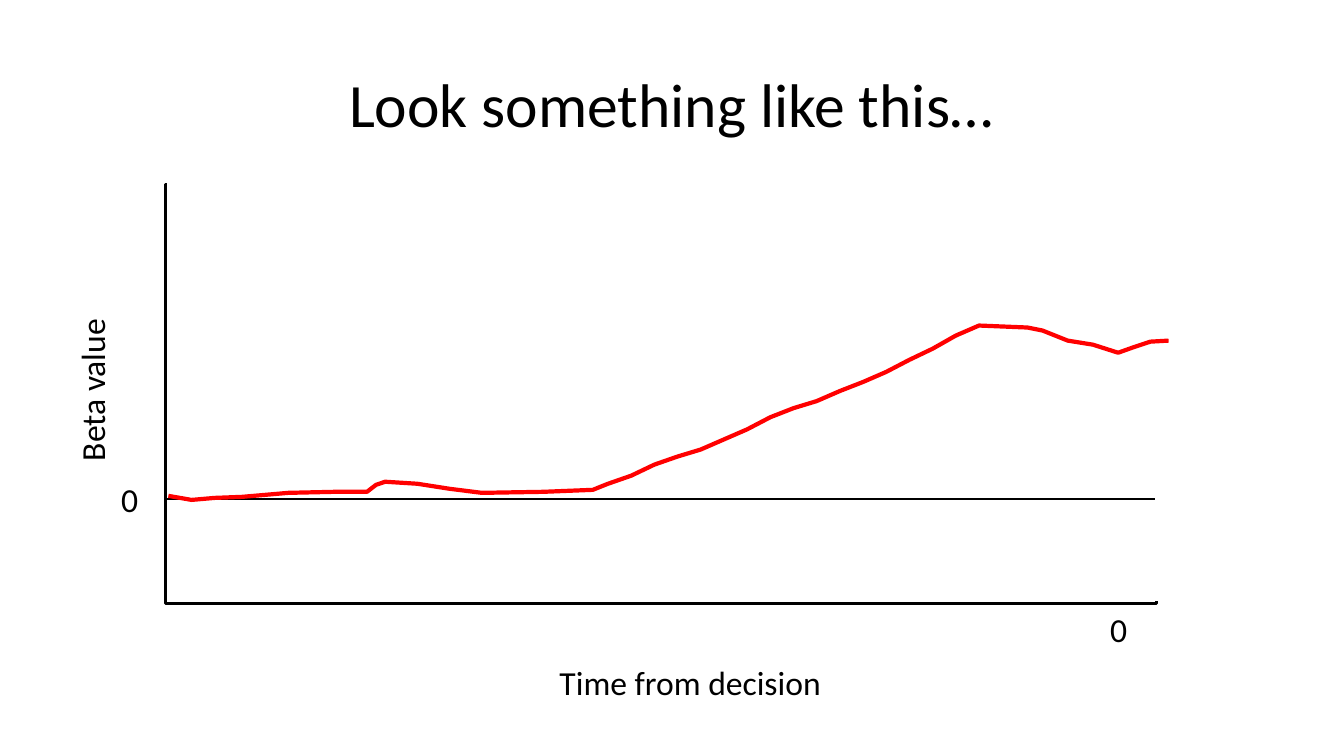
from dataclasses import dataclass
from lxml.etree import SubElement
from pptx import Presentation
from pptx.dml.color import RGBColor
from pptx.enum.shapes import MSO_CONNECTOR, MSO_SHAPE
from pptx.enum.text import MSO_ANCHOR, MSO_AUTO_SIZE, PP_ALIGN
from pptx.oxml.ns import qn
from pptx.slide import Slide
from pptx.util import Inches, Pt

INK = {"black": "000000", "white": "FFFFFF", "red": "FF0000"}
FONT = "Calibri"

# Plot size and zero line, in inches
PLOT_W, PLOT_H = 9.83, 4.16
ZERO_LEFT, ZERO_RIGHT, ZERO_Y = 1.65, 11.46, 4.95

# Line widths, in points
AXIS_PT, ZERO_PT, CURVE_PT = 2.25, 1, 3


@dataclass
class Label:
    text: str
    left: float
    top: float
    width: float
    height: float = 0.5
    size: int = 24
    turn: int = 0
    title: bool = False


@dataclass
class Panel:
    left: float
    top: float
    line: str
    fill: str = ""


@dataclass
class Stage:
    """A part of the curve: heights above zero, read at equal steps."""
    name: str
    start: float
    step: float
    highs: list[float]

    def dots(self) -> list[tuple[int, int]]:
        return [
            (Inches(self.start + i * self.step), Inches(ZERO_Y - high))
            for i, high in enumerate(self.highs)
        ]


TITLE = Label("Look something like this…", 0.91, 0.34, 11.5, 1.45, 44, title=True)
LABELS = [
    Label("Time from decision", 4.19, 6.52, 5.31),
    Label("Beta value", -0.41, 3.62, 2.64, turn=270),
    Label("0", 0.91, 4.7, 0.75),
    Label("0", 10.72, 5.99, 0.75),
]

# The white panel hides the top and right of the black one, leaving two axes
FRAME = Panel(1.64, 1.83, "black")
MASK = Panel(1.67, 1.79, "white", "white")

STAGES = [
    Stage("dip", 1.67, 0.23, [0.03, -0.01, 0.01]),
    Stage("rest", 2.4, 0.46, [0.02, 0.06, 0.07]),
    Stage("bump", 3.64, 0.09, [0.07, 0.14, 0.17]),
    Stage("fade", 4.14, 0.32, [0.15, 0.1, 0.06]),
    Stage("flat", 5.39, 0.49, [0.07, 0.09]),
    Stage("climb", 6.03, 0.23, [
        0.15, 0.23, 0.34, 0.42, 0.49, 0.59, 0.69, 0.81, 0.9,
        0.97, 1.07, 1.16, 1.26, 1.38, 1.49, 1.62, 1.72,
    ]),
    Stage("peak", 9.95, 0.24, [1.71, 1.7]),
    Stage("fall", 10.34, 0.25, [1.67, 1.57, 1.53, 1.45]),
    Stage("end", 11.23, 0.18, [1.5, 1.56, 1.57]),
]


def tint(name: str) -> RGBColor:
    return RGBColor.from_string(INK[name])


def add_label(slide: Slide, item: Label) -> None:
    box = slide.shapes.add_textbox(
        Inches(item.left), Inches(item.top), Inches(item.width), Inches(item.height)
    )
    box.rotation = item.turn
    frame = box.text_frame
    frame.word_wrap = True
    para = frame.paragraphs[0]
    para.alignment = PP_ALIGN.CENTER
    if item.title:
        frame.vertical_anchor = MSO_ANCHOR.MIDDLE
        para.line_spacing = 0.9
    else:
        frame.auto_size = MSO_AUTO_SIZE.SHAPE_TO_FIT_TEXT
    run = para.add_run()
    run.text = item.text
    run.font.name = FONT
    run.font.size = Pt(item.size)
    run.font.color.rgb = tint("black")


def add_panel(slide: Slide, item: Panel) -> None:
    box = slide.shapes.add_shape(
        MSO_SHAPE.RECTANGLE,
        Inches(item.left), Inches(item.top), Inches(PLOT_W), Inches(PLOT_H),
    )
    box.shadow.inherit = False
    if item.fill:
        box.fill.solid()
        box.fill.fore_color.rgb = tint(item.fill)
    else:
        box.fill.background()
    box.line.color.rgb = tint(item.line)
    box.line.width = Pt(AXIS_PT)


def add_zero(slide: Slide) -> None:
    line = slide.shapes.add_connector(
        MSO_CONNECTOR.STRAIGHT,
        Inches(ZERO_LEFT), Inches(ZERO_Y), Inches(ZERO_RIGHT), Inches(ZERO_Y),
    )
    line.line.color.rgb = tint("black")
    line.line.width = Pt(ZERO_PT)
    SubElement(line._element.spPr, qn("a:effectLst"))


def add_curve(slide: Slide, stages: list[Stage]) -> None:
    first, *rest = [dot for stage in stages for dot in stage.dots()]
    pen = slide.shapes.build_freeform(*first)
    pen.add_line_segments(rest, close=False)
    curve = pen.convert_to_shape()
    curve.shadow.inherit = False
    curve.fill.background()
    curve.line.color.rgb = tint("red")
    curve.line.width = Pt(CURVE_PT)


def main() -> None:
    deck = Presentation()
    deck.slide_width, deck.slide_height = Inches(13.33), Inches(7.5)
    slide = deck.slides.add_slide(deck.slide_layouts[6])

    # Axes and title
    add_panel(slide, FRAME)
    add_label(slide, TITLE)
    add_panel(slide, MASK)

    # Axis names and zero marks
    for item in LABELS:
        add_label(slide, item)

    # Zero line and curve
    add_zero(slide)
    add_curve(slide, STAGES)
    deck.save("out.pptx")


if __name__ == "__main__":
    main()
